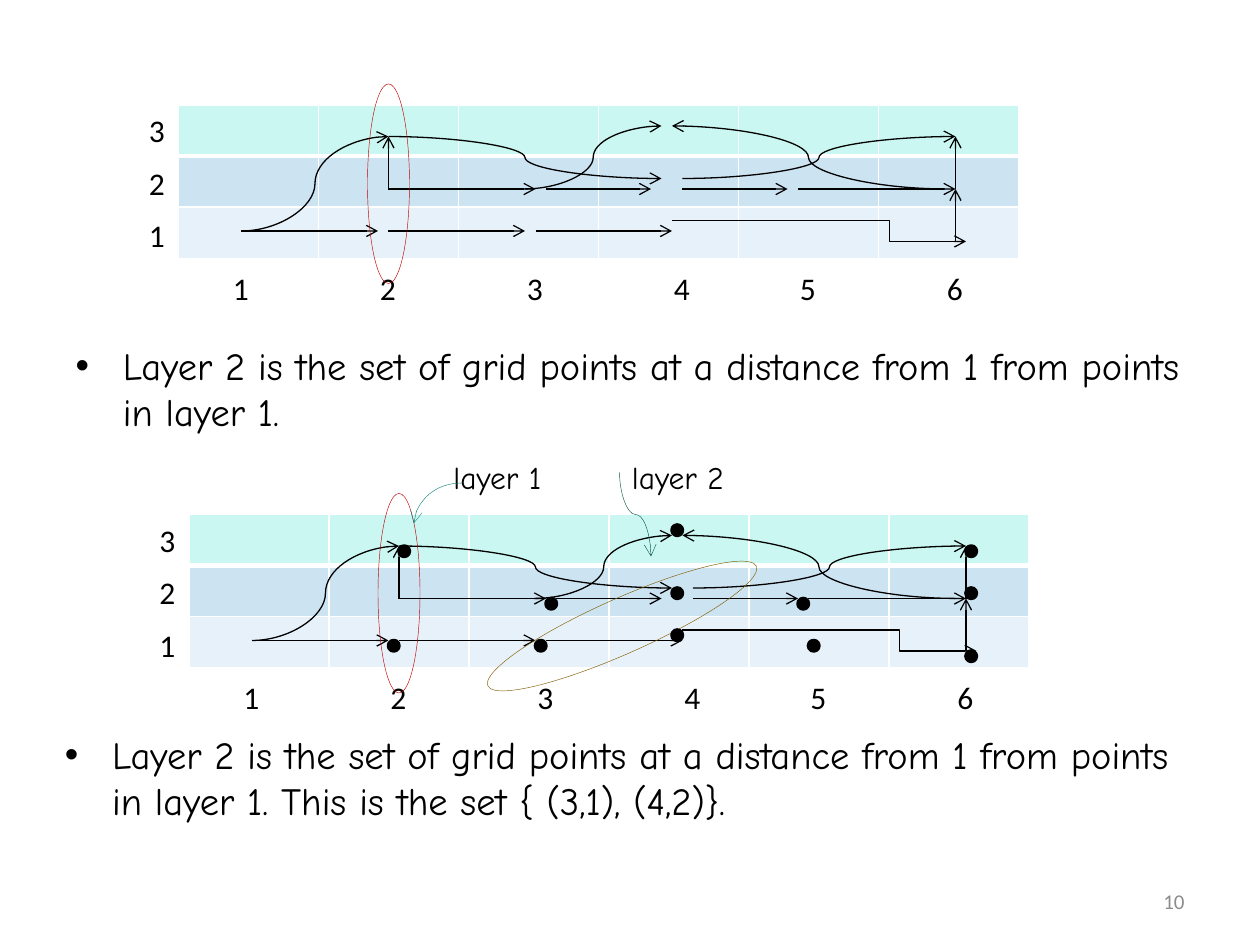
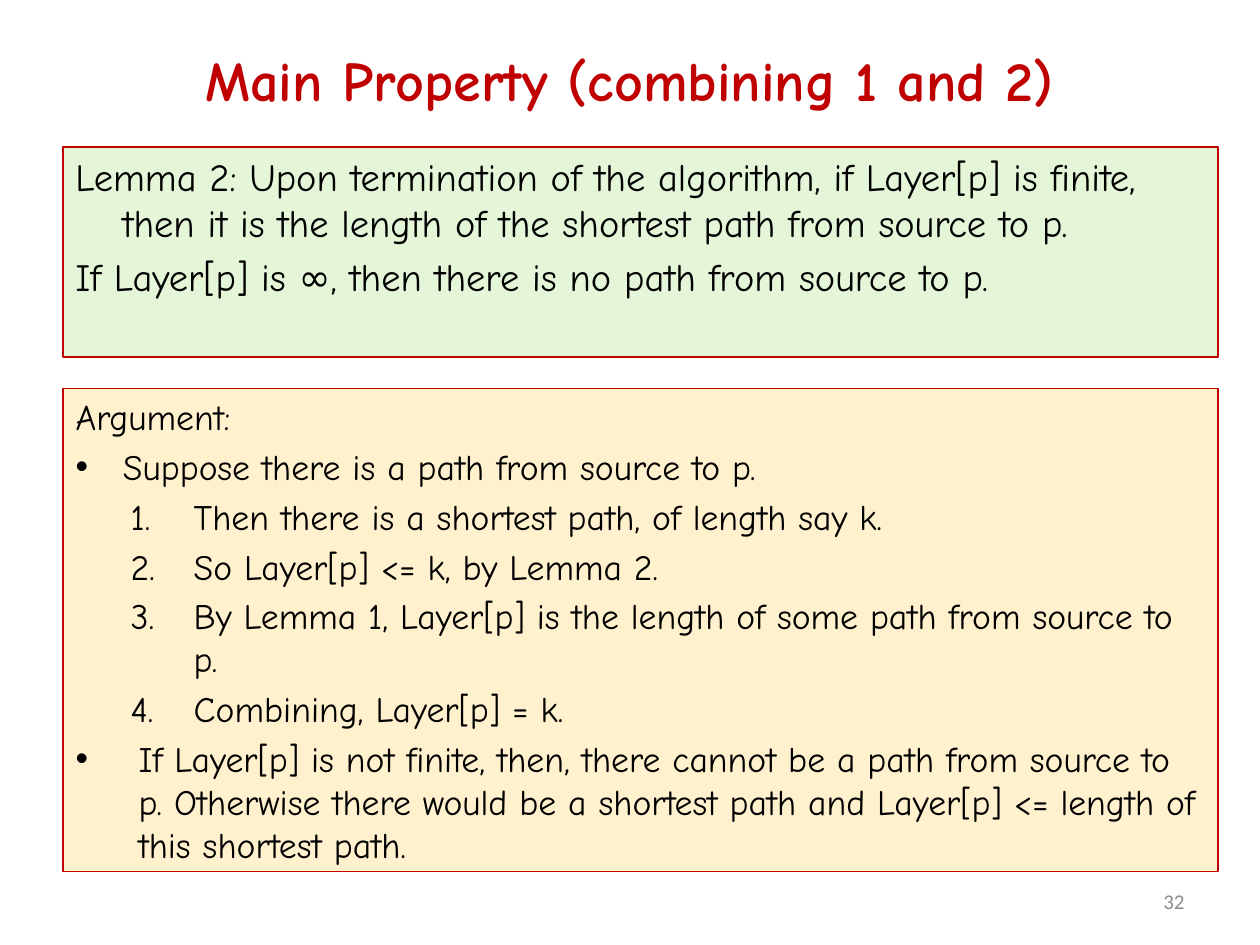
from lxml.etree import SubElement
from pptx import Presentation
from pptx.dml.color import RGBColor
from pptx.enum.shapes import MSO_CONNECTOR, MSO_SHAPE
from pptx.enum.text import MSO_ANCHOR, MSO_AUTO_SIZE, PP_ALIGN
from pptx.oxml.ns import qn
from pptx.util import Pt

BLACK = RGBColor(0x00, 0x00, 0x00)
WHITE = RGBColor(0xFF, 0xFF, 0xFF)
RED = RGBColor(0xC0, 0x00, 0x00)
GREY = RGBColor(0x8C, 0x8C, 0x8C)
BROWN = RGBColor(0x83, 0x5E, 0x01)
TEAL = RGBColor(0x13, 0x86, 0x77)
DARK_TEAL = RGBColor(0x0D, 0x5A, 0x4F)
GREEN_BOX = RGBColor(0xE5, 0xF6, 0xD8)
YELLOW_BOX = RGBColor(0xFF, 0xF1, 0xCE)
ROW_FILLS = [RGBColor(0xCA, 0xF7, 0xF1), RGBColor(0xCC, 0xE3, 0xF2), RGBColor(0xE7, 0xF1, 0xF9)]
HAND_FONT = "Comic Neue"
PLAIN_FONT = "Calibri"

STRAIGHT = MSO_CONNECTOR.STRAIGHT
ELBOW = MSO_CONNECTOR.ELBOW
CURVE = MSO_CONNECTOR.CURVE


def write(frame, text, size=22, font=HAND_FONT, color=BLACK, bold=False, align=PP_ALIGN.LEFT,
          margin=0, indent=0, bullet=None, level=0, space=4.5):
    """Add one paragraph to a text frame; the first one fills the empty paragraph."""
    first = not frame.paragraphs[0].runs
    para = frame.paragraphs[0] if first else frame.add_paragraph()
    para.level = level
    properties = para._p.get_or_add_pPr()
    properties.set("marL", str(Pt(margin)))
    properties.set("indent", str(Pt(indent)))
    if bullet == "number":
        SubElement(properties, qn("a:buFont"), typeface="+mj-lt")
        SubElement(properties, qn("a:buAutoNum"), type="arabicPeriod")
    elif bullet:
        SubElement(properties, qn("a:buFont"), typeface="Arial")
        SubElement(properties, qn("a:buChar"), char=bullet)
    else:
        SubElement(properties, qn("a:buNone"))
    para.alignment = align
    para.space_before = Pt(0 if first else space)
    span = para.add_run()
    span.text = text
    span.font.name = font
    span.font.size = Pt(size)
    span.font.bold = bold
    span.font.color.rgb = color


def add_arrow(page, kind, start_x, start_y, end_x, end_y, color=BLACK, width=0.75):
    """Draw a connector with an open arrowhead at its end."""
    arrow = page.shapes.add_connector(kind, Pt(start_x), Pt(start_y), Pt(end_x), Pt(end_y))
    arrow.line.color.rgb = color
    arrow.line.width = Pt(width)
    SubElement(arrow.line._get_or_add_ln(), qn("a:tailEnd"), type="arrow")
    SubElement(arrow._element.spPr, qn("a:effectLst"))
    return arrow


deck = Presentation()
deck.slide_width, deck.slide_height = Pt(720), Pt(540)
layout = deck.slide_layouts[1]
layers_page = deck.slides.add_slide(layout)
lemma_page = deck.slides.add_slide(layout)

# Page numbers
for page, number in [(layers_page, "10"), (lemma_page, "32")]:
    box = page.shapes.add_textbox(Pt(516), Pt(500.5), Pt(168), Pt(28.8))
    box.text_frame.word_wrap = True
    box.text_frame.vertical_anchor = MSO_ANCHOR.MIDDLE
    write(box.text_frame, number, size=12, font=PLAIN_FONT, color=GREY, align=PP_ALIGN.RIGHT)

# Layers page: the two statements
title = layers_page.shapes.title
title._element.getparent().remove(title._element)
statement = "Layer 2 is the set of grid points at a distance from 1 from points in layer 1."
upper = layers_page.placeholders[1]
upper.left, upper.top, upper.width, upper.height = Pt(36), Pt(192), Pt(648), Pt(70)
lower = layers_page.shapes.add_textbox(Pt(30), Pt(414), Pt(648), Pt(70))
for box, text in [(upper, statement), (lower, statement + " This is the set { (3,1), (4,2)}.")]:
    box.text_frame.word_wrap = True
    box.text_frame.auto_size = MSO_AUTO_SIZE.NONE
    write(box.text_frame, text, margin=27, indent=-27, bullet="•")

# Layers page: the grid, drawn twice
column_labels = zip("123456", [126, 210, 294, 378, 450, 534])
row_labels = zip("321", [60, 90, 120])
grid_labels = [(text, x, 150) for text, x in column_labels]
grid_labels += [(text, 78, y) for text, y in row_labels]
path_arrows = [
    (STRAIGHT, 138, 132, 216, 132),
    (STRAIGHT, 222, 132, 300, 132),
    (STRAIGHT, 306, 132, 384, 132),
    (ELBOW, 384, 126, 552, 138),
    (CURVE, 138, 132, 222, 78),
    (CURVE, 222, 78, 378, 102),
    (CURVE, 390, 102, 546, 78),
    (STRAIGHT, 222, 108, 222, 78),
    (STRAIGHT, 222, 108, 306, 108),
    (STRAIGHT, 312, 108, 372, 108),
    (STRAIGHT, 546, 138, 546, 108),
    (STRAIGHT, 546, 108, 546, 78),
    (STRAIGHT, 390, 108, 450, 108),
    (STRAIGHT, 456, 108, 546, 108),
    (CURVE, 300, 108, 378, 72),
    (CURVE, 540, 108, 384, 72),
]
GRID_OFFSETS = [(0, 0), (6, 234)]
for shift_x, shift_y in GRID_OFFSETS:
    table = layers_page.shapes.add_table(
        3, 6, Pt(102 + shift_x), Pt(60 + shift_y), Pt(480), Pt(87.6)).table
    table.first_row = table.horz_banding = False
    for row_index, row in enumerate(table.rows):
        row.height = Pt(29.2)
        for cell in row.cells:
            cell_properties = cell._tc.get_or_add_tcPr()
            for side in ["lnL", "lnR", "lnT", "lnB"]:
                thick = (row_index, side) in [(0, "lnB"), (1, "lnT")]
                border = SubElement(cell_properties, qn("a:" + side), w=str(Pt(3 if thick else 1)))
                border_fill = SubElement(border, qn("a:solidFill"))
                SubElement(border_fill, qn("a:srgbClr"), val=str(WHITE))
            cell.fill.solid()
            cell.fill.fore_color.rgb = ROW_FILLS[row_index]

    for text, x, y in grid_labels:
        box = layers_page.shapes.add_textbox(Pt(x + shift_x), Pt(y + shift_y), Pt(24), Pt(28.8))
        box.text_frame.word_wrap = False
        write(box.text_frame, text, size=18, font=PLAIN_FONT)

    for kind, start_x, start_y, end_x, end_y in path_arrows:
        arrow = add_arrow(layers_page, kind, start_x + shift_x, start_y + shift_y,
                          end_x + shift_x, end_y + shift_y)
        if kind == ELBOW:
            adjustments = arrow._element.spPr.find(qn("a:prstGeom")).get_or_add_avLst()
            SubElement(adjustments, qn("a:gd"), name="adj1", fmla="val 73900")

# Layers page: rings round the layers, then the grid points
ovals = [(210 + x, 48 + y, 24, 114, RED, 0.25, 0) for x, y in GRID_OFFSETS]
ovals.append((271.5, 342, 168, 31.5, BROWN, 0.25, 336))
grid_points = [(222, 366), (228, 312), (306, 366), (384, 360), (384, 336), (456, 342),
               (552, 336), (312, 342), (552, 372), (552, 312), (462, 366), (384, 300)]
ovals += [(x, y, 6, 6, BLACK, 2, 0) for x, y in grid_points]
for left, top, width, height, color, line_width, rotation in ovals:
    oval = layers_page.shapes.add_shape(MSO_SHAPE.OVAL, Pt(left), Pt(top), Pt(width), Pt(height))
    oval.shadow.inherit = False
    oval.rotation = rotation
    oval.line.color.rgb = color
    oval.line.width = Pt(line_width)
    if color == BLACK:
        oval.fill.solid()
        oval.fill.fore_color.rgb = BLACK
    else:
        oval.fill.background()

# Layers page: layer names with pointers
for text, left, width in [("layer 1", 252, 70.5), ("layer 2", 354, 73.5)]:
    box = layers_page.shapes.add_textbox(Pt(left), Pt(258), Pt(width), Pt(28.8))
    box.text_frame.word_wrap = False
    write(box.text_frame, text, size=18)
pointer = add_arrow(layers_page, CURVE, 264, 276, 236.5, 299, color=TEAL, width=0.25)
pointer._element.spPr.find(qn("a:prstGeom")).set("prst", "curvedConnector2")
pointer = add_arrow(layers_page, CURVE, 387, 285, 339, 303, color=DARK_TEAL, width=0.25)
pointer._element.spPr.find(qn("a:xfrm")).set("rot", str(270 * 60000))

# Lemma page: title
title = lemma_page.shapes.title
title.left, title.top, title.width, title.height = Pt(36), Pt(0), Pt(648), Pt(90)
title.text_frame.vertical_anchor = MSO_ANCHOR.MIDDLE
write(title.text_frame, "Main Property (combining 1 and 2)", size=32, color=RED, bold=True,
      align=PP_ALIGN.CENTER)

# Lemma page: lemma and argument boxes
argument = lemma_page.placeholders[1]
argument.left, argument.top, argument.width, argument.height = Pt(36), Pt(222), Pt(660), Pt(276)
lemma = lemma_page.shapes.add_shape(MSO_SHAPE.RECTANGLE, Pt(36), Pt(84), Pt(660), Pt(120))
lemma.shadow.inherit = False
for box, color in [(lemma, GREEN_BOX), (argument, YELLOW_BOX)]:
    box.fill.solid()
    box.fill.fore_color.rgb = color
    box.line.color.rgb = RED
    box.line.width = Pt(0.75)
    box.text_frame.word_wrap = True
    box.text_frame.auto_size = MSO_AUTO_SIZE.NONE
    box.text_frame.vertical_anchor = MSO_ANCHOR.TOP

for text in [
    "Lemma 2: Upon termination of the algorithm, if Layer[p] is finite, "
    "then it is the length of the shortest path from source to p.",
    "If Layer[p] is ∞, then there is no path from source to p.",
]:
    write(lemma.text_frame, text, margin=27, indent=-27)

heading = dict(margin=27, indent=-27)
point = dict(margin=27, indent=-27, bullet="•")
step = dict(margin=67.5, indent=-36, bullet="number", level=1)
wide_point = dict(margin=36, indent=-36, bullet="•")
for text, style in [
    ("Argument:", heading),
    ("Suppose there is a path from source to p.", point),
    ("Then there is a shortest path, of length say k.", step),
    ("So Layer[p] <= k, by Lemma 2.", step),
    ("By Lemma 1, Layer[p] is the length of some path from source to p.", step),
    ("Combining, Layer[p] = k.", step),
    ("If Layer[p] is not finite, then, there cannot be a path from source to p. Otherwise "
     "there would be a shortest path and Layer[p] <= length of this shortest path.", wide_point),
]:
    write(argument.text_frame, text, size=20.4, space=4, **style)

deck.save("out.pptx")
